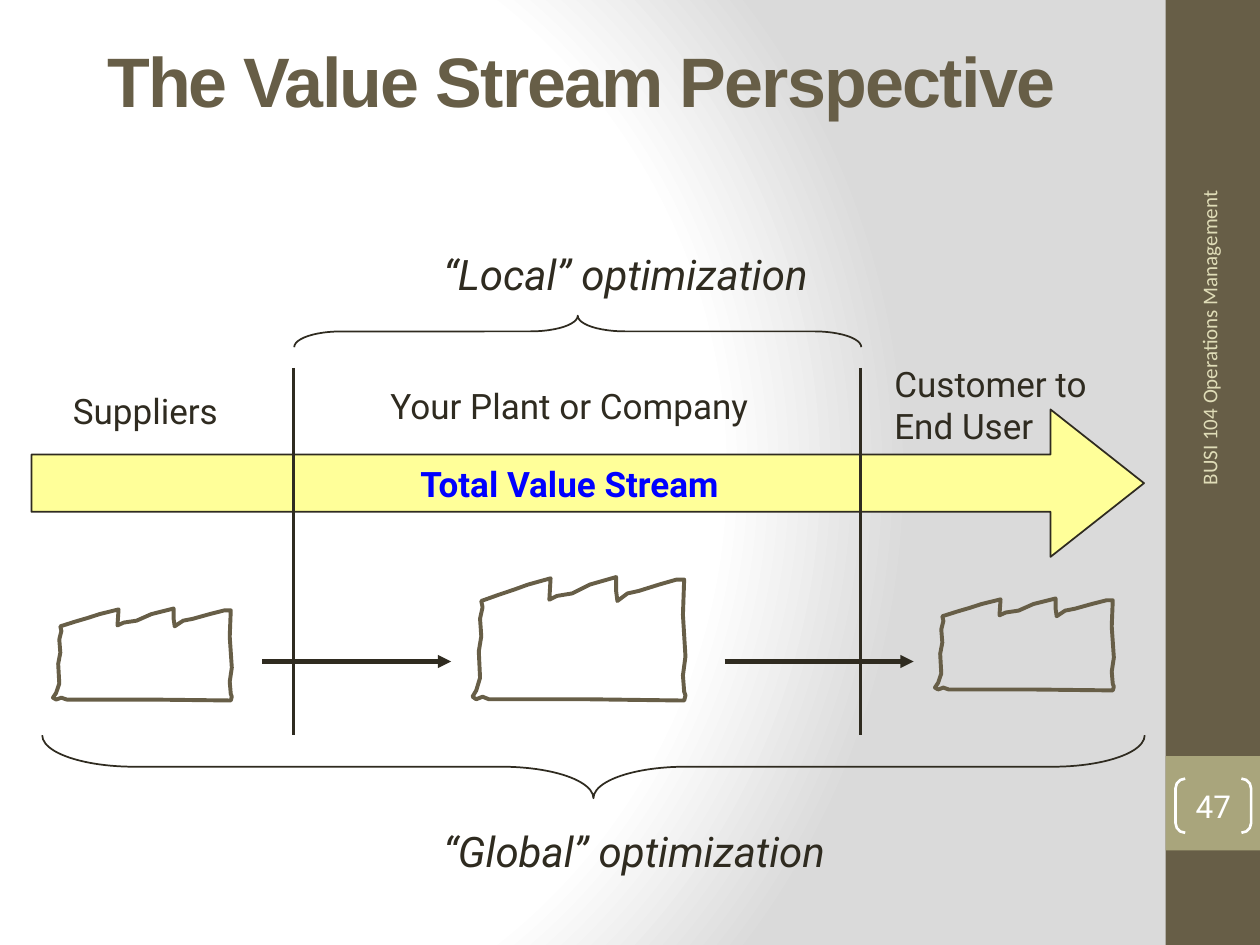
from pptx import Presentation
from pptx.dml.color import RGBColor
from pptx.enum.shapes import MSO_CONNECTOR, MSO_SHAPE as Preset
from pptx.enum.text import MSO_ANCHOR as Anchor, PP_ALIGN as Align
from pptx.oxml import parse_xml
from pptx.oxml.ns import nsdecls
from pptx.oxml.xmlchemy import OxmlElement
from pptx.util import Inches, Pt

INK, BROWN, OLIVE, WHITE = "2F2B20", "675E47", "A9A57C", "FFFFFF"
FACTORY_WIDTH, FACTORY_HEIGHT = 1.69, 0.98
FACTORY_OUTLINE = [
    (0.08, 0.95), (0.13, 0.97), (0.91, 0.97), (1.68, 0.98), (1.69, 0.94),
    (1.68, 0.91), (1.67, 0.78), (1.69, 0.63), (1.67, 0.3), (1.68, 0.02),
    (1.62, 0.02), (1.48, 0.06), (1.32, 0.11), (1.23, 0.13), (1.15, 0.19),
    (1.14, 0.11), (1.14, 0), (0.93, 0.06), (0.79, 0.13), (0.67, 0.15),
    (0.61, 0.18), (0.62, 0.01), (0.44, 0.06), (0.33, 0.1), (0.21, 0.14),
    (0.07, 0.19), (0.08, 0.24), (0.06, 0.33), (0.07, 0.47), (0.05, 0.59),
    (0.06, 0.8), (0.03, 0.9), (0, 0.95), (0.03, 0.97),
]


def color(value):
    return RGBColor.from_string(value)


def box(left, top, width, height):
    return [Inches(length) for length in (left, top, width, height)]


def paint_background(slide):
    slide.element.cSld.insert(0, parse_xml(
        f'<p:bg {nsdecls("p", "a")}><p:bgPr><a:gradFill rotWithShape="1"><a:gsLst>'
        '<a:gs pos="0"><a:srgbClr val="FFFFFF"/></a:gs>'
        '<a:gs pos="75000"><a:srgbClr val="FFFFFF"/></a:gs>'
        '<a:gs pos="100000"><a:srgbClr val="DADADA"/></a:gs></a:gsLst>'
        '<a:path path="circle"><a:fillToRect l="20000" t="50000" r="100000" b="50000"/></a:path>'
        '</a:gradFill><a:effectLst/></p:bgPr></p:bg>'))


def write(shape, text, size, ink=INK, face="Roboto", bold=False, italic=False,
          align=Align.LEFT, anchor=Anchor.TOP, wrap=True):
    frame = shape.text_frame
    frame.word_wrap = wrap
    frame.vertical_anchor = anchor
    paragraph = frame.paragraphs[0]
    paragraph.alignment = align
    run = paragraph.add_run()
    run.text = text
    font = run.font
    font.name, font.size, font.bold, font.italic = face, Pt(size), bold, italic
    font.color.rgb = color(ink)
    return run


def add_title(slide, text):
    title = slide.shapes.title
    title.left, title.top, title.width, title.height = box(0.75, 0.25, 8.5, 1.08)
    run = write(title, text, 40, BROWN, "Arial", bold=True)
    run.font._element.set("spc", "-100")


def add_label(slide, place, text, size=20, rotation=0, **style):
    label = slide.shapes.add_textbox(*box(*place))
    label.rotation = rotation
    write(label, text, size, **style)


def style_shape(shape, fill=None, line=None, width=1):
    shape.shadow.inherit = False
    if fill:
        shape.fill.solid()
        shape.fill.fore_color.rgb = color(fill)
    else:
        shape.fill.background()
    if line:
        shape.line.color.rgb = color(line)
        shape.line.width = Pt(width)
    else:
        shape.line.fill.background()


def add_preset(slide, preset, place, adjustments=(), rotation=0, **style):
    shape = slide.shapes.add_shape(preset, *box(*place))
    for index, value in enumerate(adjustments):
        shape.adjustments[index] = value
    shape.rotation = rotation
    style_shape(shape, **style)
    return shape


def add_line(slide, start, end, width, arrow=False):
    line = slide.shapes.add_connector(
        MSO_CONNECTOR.STRAIGHT, *[Inches(length) for length in (*start, *end)])
    line.line.color.rgb = color(INK)
    line.line.width = Pt(width)
    if arrow:
        head = OxmlElement("a:tailEnd")
        head.set("type", "triangle")
        line.line._get_or_add_ln().append(head)
    line._element.spPr.append(OxmlElement("a:effectLst"))


def add_factory(slide, left, top, width, height):
    points = [(Inches(left + x * width / FACTORY_WIDTH),
               Inches(top + y * height / FACTORY_HEIGHT)) for x, y in FACTORY_OUTLINE]
    builder = slide.shapes.build_freeform(*points[0])
    builder.add_line_segments(points[1:], close=True)
    style_shape(builder.convert_to_shape(), line=BROWN, width=2.25)


def add_sidebar(slide):
    add_preset(slide, Preset.RECTANGLE, (9.25, 0, 0.75, 7.5), fill=BROWN)
    add_preset(slide, Preset.RECTANGLE, (9.25, 6, 0.75, 0.75), fill=OLIVE)
    add_label(slide, (7.34, 3.47, 4.51, 0.4), "BUSI 104 Operations Management", 12, 270,
              ink="DFDCB7", face="Calibri", align=Align.RIGHT, anchor=Anchor.MIDDLE)
    page = add_preset(slide, Preset.DOUBLE_BRACKET, (9.33, 6.18, 0.6, 0.43), [0.179],
                      line=WHITE, width=1.5)
    frame = page.text_frame
    frame.margin_left = frame.margin_top = frame.margin_right = frame.margin_bottom = 0
    write(page, "47", 18, WHITE, align=Align.CENTER, anchor=Anchor.MIDDLE)


def add_value_stream(slide):
    stream = add_preset(slide, Preset.RIGHT_ARROW, (0.25, 3.25, 8.83, 1.17),
                        [0.389, 0.634], fill="FFFF99", line=INK)
    write(stream, "Total Value Stream", 20, "0000FF", bold=True,
          align=Align.CENTER, anchor=Anchor.MIDDLE, wrap=False)
    add_label(slide, (0.48, 3.04, 1.36, 0.43), "Suppliers", wrap=False)
    add_label(slide, (3, 3, 3.42, 0.43), "Your Plant or Company")
    add_label(slide, (7, 2.83, 1.83, 0.77), "Customer to End User")
    for border in (2.33, 6.83):
        add_line(slide, (border, 2.92), (border, 5.83), 2)
    add_factory(slide, 3.75, 4.58, FACTORY_WIDTH, FACTORY_HEIGHT)
    for left, top in ((0.42, 4.83), (7.42, 4.75)):
        add_factory(slide, left, top, 1.42, 0.73)
    for start in (2.08, 5.75):
        add_line(slide, (start, 5.25), (start + 1.5, 5.25), 2.5, arrow=True)


def add_scopes(slide):
    add_label(slide, (3.42, 1.92, 3.12, 0.51), "“Local” optimization", 24,
              italic=True, wrap=False)
    add_label(slide, (3.42, 6.5, 3.29, 0.51), "“Global” optimization", 24,
              italic=True, wrap=False)
    add_preset(slide, Preset.LEFT_BRACE, (4.46, 0.38, 0.25, 4.5), [1.5, 0.5], 90, line=INK)
    add_preset(slide, Preset.LEFT_BRACE, (4.46, 1.71, 0.5, 8.75), [1.46, 0.5], 270, line=INK)


def main():
    deck = Presentation()
    deck.slide_width, deck.slide_height = Inches(10), Inches(7.5)
    slide = deck.slides.add_slide(deck.slide_layouts[5])
    paint_background(slide)
    add_sidebar(slide)
    add_title(slide, "The Value Stream Perspective")
    add_value_stream(slide)
    add_scopes(slide)
    deck.save("out.pptx")


if __name__ == "__main__":
    main()
